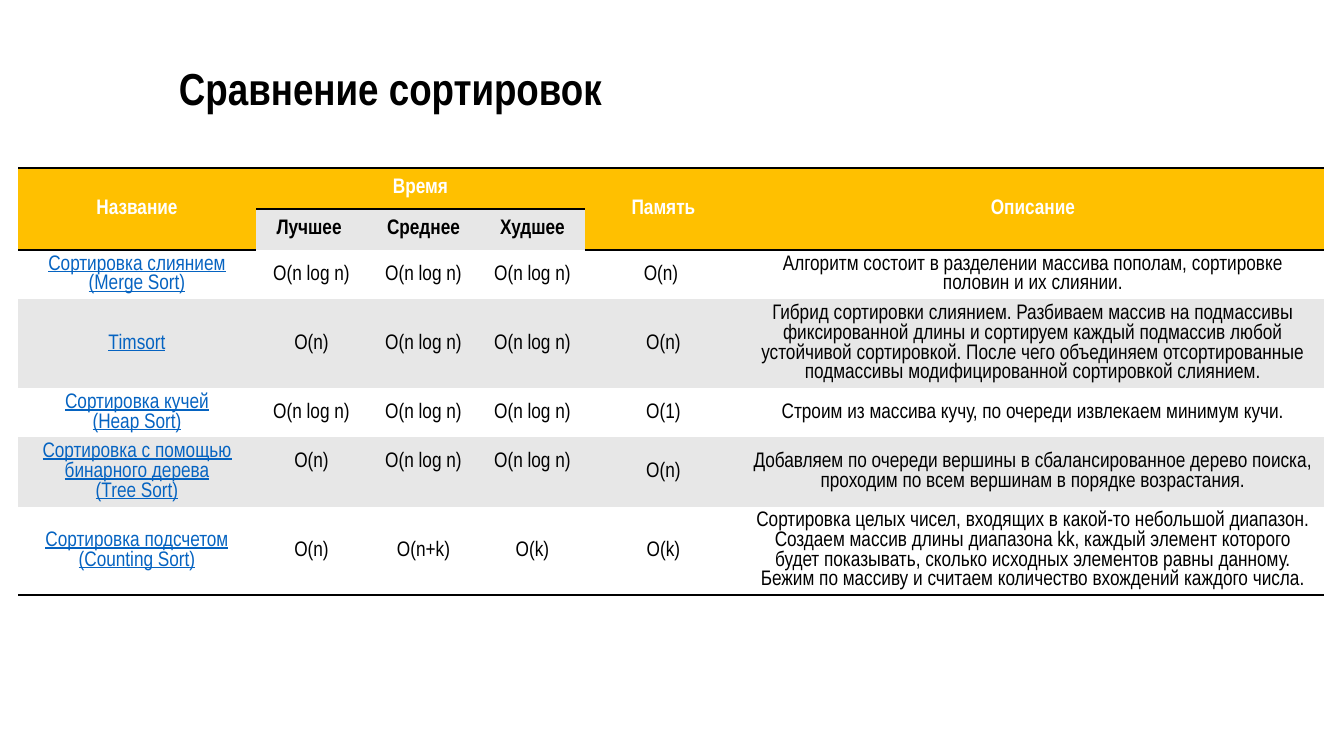
from dataclasses import dataclass

from lxml.etree import SubElement
from pptx import Presentation
from pptx.dml.color import RGBColor
from pptx.enum.text import MSO_ANCHOR as Anchor, MSO_AUTO_SIZE as AutoSize, PP_ALIGN as Align
from pptx.oxml.ns import qn
from pptx.util import Pt


@dataclass(frozen=True)
class Theme:
    font: str = "Arial Narrow"
    title_size: int = 32
    table_size: int = 15
    rule_width: int = 2
    ink: str = "000000"
    paper: str = "FFFFFF"
    accent: str = "FFC000"
    band: str = "E7E7E7"
    link: str = "0563C1"
    plain_table: str = "{2D5ABB26-0587-4C30-8999-92F81FD0307C}"


class SlideWriter:
    """Draws styled elements on one slide, with lengths in pixels."""

    def __init__(self, deck, theme):
        self.theme = theme
        deck.slide_width, deck.slide_height = self.px(1344), self.px(756)
        self.page = deck.slides.add_slide(deck.slide_layouts[6])

    def px(self, length):
        return round(length * 914400 / 100.8)

    def style(self, para, size, color, bold=False, underline=False):
        for span in para.runs:
            span.font.name = self.theme.font
            span.font.size = Pt(size)
            span.font.bold = bold
            span.font.underline = underline
            span.font.color.rgb = RGBColor.from_string(color)

    def title(self, text, left, top, width, height):
        box = self.page.shapes.add_textbox(*map(self.px, (left, top, width, height)))
        box.text_frame.word_wrap = True
        box.text_frame.auto_size = AutoSize.SHAPE_TO_FIT_TEXT
        box.text_frame.text = text
        self.style(box.text_frame.paragraphs[0], self.theme.title_size, self.theme.ink, bold=True)

    def table(self, left, top, height, widths, row_height, row_count):
        frame = self.page.shapes.add_table(
            row_count, len(widths), *map(self.px, (left, top, sum(widths), height)))
        grid = frame.table
        grid._tbl.tblPr.find(qn("a:tableStyleId")).text = self.theme.plain_table
        for column, width in zip(grid.columns, widths):
            column.width = self.px(width)
        for row in grid.rows:
            row.height = self.px(row_height)
        frame.height = self.px(height)
        return grid

    def cell(self, cell, text, fill, color, **emphasis):
        cell.text = text
        cell.vertical_anchor = Anchor.MIDDLE
        cell.fill.solid()
        cell.fill.fore_color.rgb = RGBColor.from_string(fill)
        para = cell.text_frame.paragraphs[0]
        para.alignment = Align.CENTER
        self.style(para, self.theme.table_size, color, **emphasis)

    def rule(self, cell, side):
        properties = cell._tc.get_or_add_tcPr()
        line = SubElement(properties, qn(f"a:ln{side}"), w=str(Pt(self.theme.rule_width)))
        properties.insert(len(properties.findall(qn("a:lnT"))) if side == "B" else 0, line)
        SubElement(SubElement(line, qn("a:solidFill")), qn("a:srgbClr"), val=self.theme.ink)


HEADINGS = {0: "Название", 1: "Время", 4: "Память", 5: "Описание"}
TIMES = ["Лучшее ", "Среднее", "Худшее"]
SORTS = [
    ("Сортировка слиянием\v(Merge Sort)", "O(n log n)", "O(n log n)", "O(n log n)", "O(n) ",
     "Алгоритм состоит в разделении массива пополам, сортировке половин и их слиянии."),
    ("Timsort", "O(n)", "O(n log n)", "O(n log n)", "O(n)",
     "Гибрид сортировки слиянием. Разбиваем массив на подмассивы фиксированной длины "
     "и сортируем каждый подмассив любой устойчивой сортировкой. После чего объединяем "
     "отсортированные подмассивы модифицированной сортировкой слиянием."),
    ("Сортировка кучей\v(Heap Sort)", "O(n log n)", "O(n log n)", "O(n log n)", "O(1)",
     "Строим из массива кучу, по очереди извлекаем минимум кучи."),
    ("Сортировка с помощью бинарного дерева\v(Tree Sort)",
     "O(n)", "O(n log n)", "O(n log n)", "O(n)",
     "Добавляем по очереди вершины в сбалансированное дерево поиска, "
     "проходим по всем вершинам в порядке возрастания."),
    ("Сортировка подсчетом\v(Counting Sort)", "O(n)", "O(n+k)", "O(k)", "O(k)",
     "Сортировка целых чисел, входящих в какой-то небольшой диапазон. Создаем массив длины "
     "диапазона kk, каждый элемент которого будет показывать, сколько исходных элементов "
     "равны данному. Бежим по массиву и считаем количество вхождений каждого числа."),
]
TREE_ROW = 5


def main():
    deck = Presentation()
    theme = Theme()
    writer = SlideWriter(deck, theme)
    widths = [238, 111, 113, 105, 157, 582]
    grid = writer.table(18, 168, 511, widths, 41, len(SORTS) + 2)

    for column, heading in HEADINGS.items():
        cell = grid.cell(0, column)
        cell.merge(grid.cell(0, 3) if column == 1 else grid.cell(1, column))
        writer.cell(cell, heading, theme.accent, theme.paper, bold=True)
    for column, time in enumerate(TIMES, 1):
        writer.cell(grid.cell(1, column), time, theme.band, theme.ink, bold=True)

    for row, sort in enumerate(SORTS, 2):
        fill = theme.band if row % 2 else theme.paper
        for column, text in enumerate(sort):
            is_name = column == 0
            writer.cell(grid.cell(row, column), text, fill,
                        theme.link if is_name else theme.ink, underline=is_name)

    for column in range(len(widths)):
        writer.rule(grid.cell(0, column), "T")
        writer.rule(grid.cell(0, column), "B")
        writer.rule(grid.cell(len(SORTS) + 1, column), "B")
        if column in (1, 2, 3):
            grid.cell(TREE_ROW, column).margin_bottom = writer.px(25)
        else:
            writer.rule(grid.cell(1, column), "B")

    writer.title("Сравнение сортировок", 169, 56, 1015, 65)
    deck.save("out.pptx")


if __name__ == "__main__":
    main()
